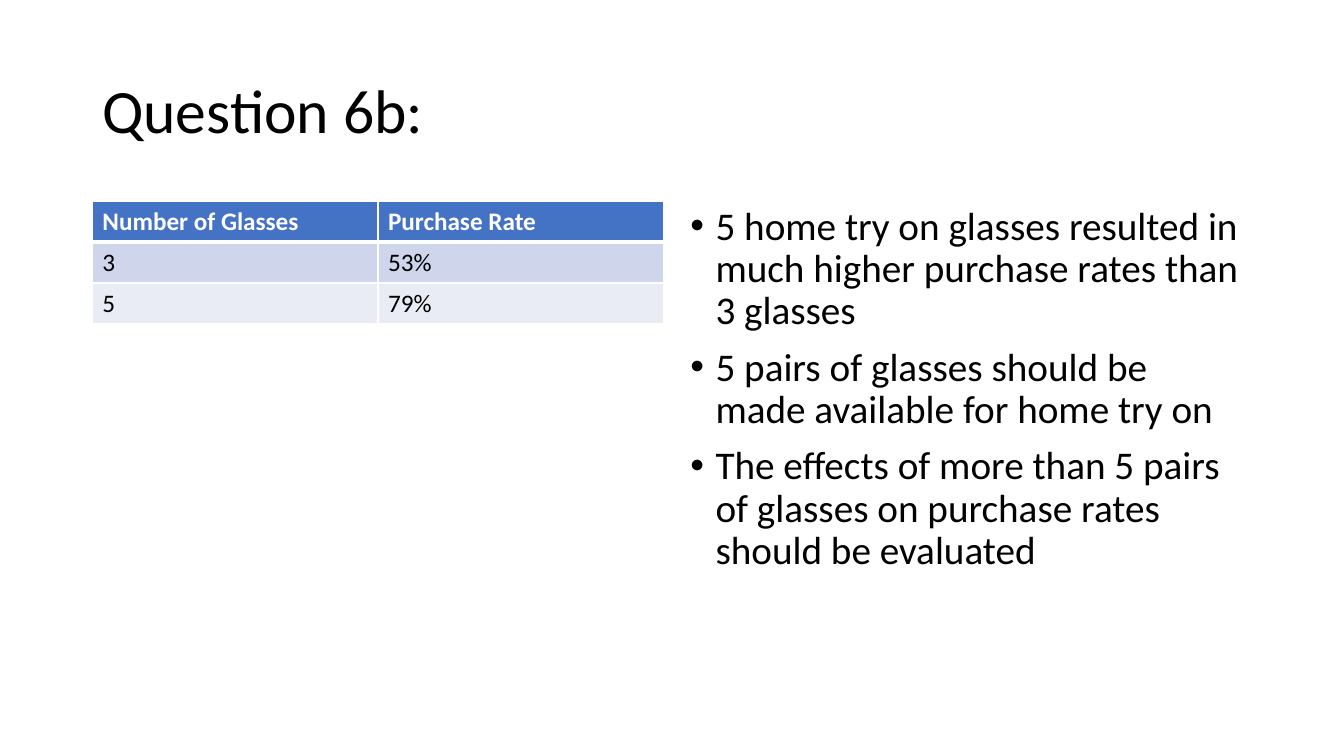
from pptx import Presentation
from pptx.dml.color import RGBColor
from pptx.enum.text import MSO_ANCHOR
from pptx.oxml.ns import qn
from pptx.util import Pt
from lxml.etree import SubElement

TITLE = "Question 6b:"
RATES = [
    ("Number of Glasses", "Purchase Rate"),
    ("3", "53%"),
    ("5", "79%"),
]
FINDINGS = [
    "5 home try on glasses resulted in much higher purchase rates than 3 glasses",
    "5 pairs of glasses should be made available for home try on",
    "The effects of more than 5 pairs of glasses on purchase rates should be evaluated",
]
COLORS = {"text": "000000", "white": "FFFFFF", "header": "4472C4",
          "odd": "CFD5EA", "even": "E9EBF5"}
FONT = "Calibri"

SLIDE_W, SLIDE_H = 960, 540
MARGIN, GAP = 66, 12
CONTENT_W = SLIDE_W - 2 * MARGIN
COLUMN_W = (CONTENT_W - GAP) / 2
TITLE_TOP, TITLE_H = 28.75, 104.38
BODY_TOP, BODY_H = 143.75, 342.62
ROW_H = 29.2
INDENT = 18


def write(tf, lines, size, color="text", bold=False, spacing=None, before=0, bullet=False):
    """Fill a text frame with one paragraph per line."""
    tf.word_wrap = True
    for i, line in enumerate(lines):
        p = tf.paragraphs[0] if i == 0 else tf.add_paragraph()
        p.line_spacing = spacing
        p.space_before = Pt(before)
        if bullet:
            pPr = p._p.get_or_add_pPr()
            pPr.set("marL", str(Pt(INDENT)))
            pPr.set("indent", str(-Pt(INDENT)))
            SubElement(pPr, qn("a:buFont"), typeface="Arial")
            SubElement(pPr, qn("a:buChar"), char="•")
        r = p.add_run()
        r.text = line
        r.font.name, r.font.size, r.font.bold = FONT, Pt(size), bold
        r.font.color.rgb = RGBColor.from_string(COLORS[color])


def add_text(s, left, top, width, height, lines, anchor=MSO_ANCHOR.TOP, **fmt):
    """Add a text box holding the given lines."""
    tf = s.shapes.add_textbox(Pt(left), Pt(top), Pt(width), Pt(height)).text_frame
    write(tf, lines, **fmt)
    tf.vertical_anchor = anchor


def set_borders(cell, **widths):
    """Draw white cell borders of the given widths, ahead of the fill."""
    tcPr = cell._tc.get_or_add_tcPr()
    for i, (side, width) in enumerate(widths.items()):
        ln = SubElement(tcPr, qn(f"a:ln{side}"), w=str(Pt(width)))
        fill = SubElement(ln, qn("a:solidFill"))
        SubElement(fill, qn("a:srgbClr"), val=COLORS["white"])
        tcPr.insert(i, ln)


def add_rates(s):
    """Add the purchase rate table with a header and banded rows."""
    rows, cols = len(RATES), len(RATES[0])
    table = s.shapes.add_table(rows, cols, Pt(MARGIN), Pt(BODY_TOP),
                               Pt(COLUMN_W), Pt(rows * ROW_H)).table
    for column in table.columns:
        column.width = Pt(COLUMN_W / cols)
    for i, values in enumerate(RATES):
        table.rows[i].height = Pt(ROW_H)
        header = i == 0
        band = "header" if header else "odd" if i % 2 else "even"
        for j, value in enumerate(values):
            cell = table.cell(i, j)
            write(cell.text_frame, [value], size=18, bold=header,
                  color="white" if header else "text")
            cell.fill.solid()
            cell.fill.fore_color.rgb = RGBColor.from_string(COLORS[band])
            set_borders(cell, L=1, R=1, T=3 if i == 1 else 1, B=3 if header else 1)


prs = Presentation()
prs.slide_width, prs.slide_height = Pt(SLIDE_W), Pt(SLIDE_H)
s = prs.slides.add_slide(prs.slide_layouts[6])
add_text(s, MARGIN, TITLE_TOP, CONTENT_W, TITLE_H, [TITLE],
         anchor=MSO_ANCHOR.MIDDLE, size=44, spacing=0.9)
add_rates(s)
add_text(s, MARGIN + COLUMN_W + GAP, BODY_TOP, COLUMN_W, BODY_H, FINDINGS,
         size=28, spacing=0.9, before=10, bullet=True)
prs.save("out.pptx")
